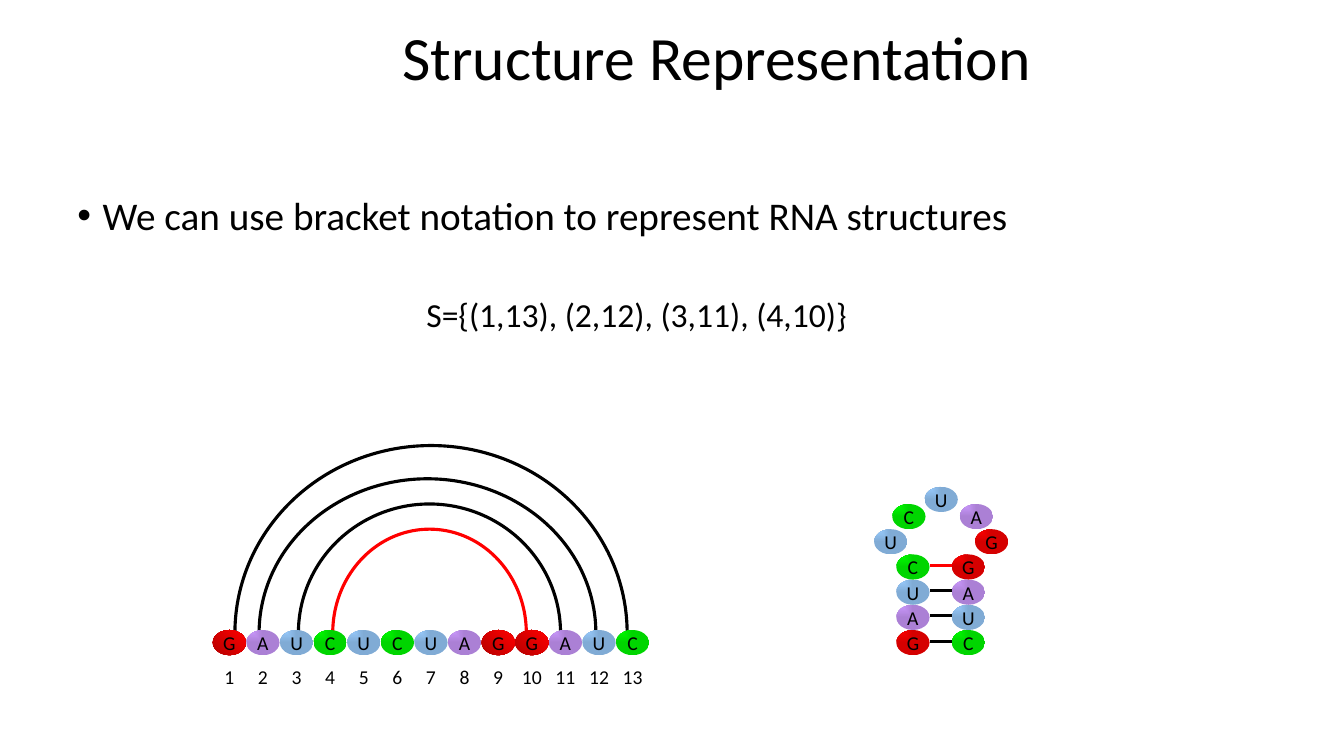
from lxml import etree
from pptx import Presentation
from pptx.dml.color import RGBColor
from pptx.enum import shapes, text
from pptx.oxml import parse_xml
from pptx.oxml.ns import nsdecls, qn
from pptx.util import Inches, Pt

TITLE = "Structure Representation"
POINT = "We can use bracket notation to represent RNA structures"
PAIRS = "S={(1,13), (2,12), (3,11), (4,10)}"
BASES = "GAUCUCUAGGAUC"
STEM = 4
LOOP = [(8.67, 5.25), (8.85, 5), (9.17, 4.83), (9.52, 5), (9.67, 5.25)]
ARCS = [(2.33, 6.22, 4.42), (2.57, 5.91, 4.75),
        (2.96, 5.56, 5), (3.3, 5.22, 5.25)]  # left, right, top

THEME = {
    "font": "Calibri", "ink": "000000", "mark": "FF0000", "line": 2.25,
    "title": 44, "body": 28, "pairs": 24, "base": 14,
    "A": ("CC99FF", "AB80D5"), "C": ("00FF00", "00D500"),
    "U": ("99CCFF", "80ABD5"), "G": ("FF0000", "D50000"),
    "strand G": ("B60000", "FF0000"),
}
CORNER = ('<a:path path="rect"><a:fillToRect r="100000" b="100000"/>'
          '</a:path>')
SLANT = '<a:lin ang="18900000" scaled="1"/>'

WIDE, HIGH = 0.33, 0.25
ROW, STEP, START = 6.25, 1 / 3, 2.11
LEFT, RIGHT = 8.89, 9.44

deck = Presentation()
deck.slide_width, deck.slide_height = Inches(13.33), Inches(7.5)
slide = deck.slides.add_slide(deck.slide_layouts[6])
parts = slide.shapes


def color(name):
    return RGBColor.from_string(THEME[name])


def write(shape, words, size, **form):
    frame = shape.text_frame
    para = frame.paragraphs[0]
    para.add_run().text = words
    for key, val in form.items():
        setattr(para, key, val)
    font = para.runs[0].font
    font.name, font.size = THEME["font"], Pt(THEME[size])
    font.color.rgb = color("ink")
    return frame


def label(box, words, size, **form):
    shape = parts.add_textbox(*map(Inches, box))
    frame = write(shape, words, size, **form)
    frame.word_wrap = True
    return frame


def stroke(line, name):
    line.color.rgb = color(name)
    line.width = Pt(THEME["line"])


def shade(shape, stops, way):
    """Put a two-colour gradient in the shape."""
    marks = "".join(f'<a:gs pos="{pos}"><a:srgbClr val="{tint}"/></a:gs>'
                    for pos, tint in zip((0, 100000), stops))
    grad = parse_xml(f'<a:gradFill {nsdecls("a")} rotWithShape="1">'
                     f'<a:gsLst>{marks}</a:gsLst>{way}</a:gradFill>')
    shape._element.spPr.find(qn("a:prstGeom")).addnext(grad)


def bead(left, top, words, stops=None, way=CORNER):
    """Draw a base, or a bare number when there are no colours."""
    shape = parts.add_shape(shapes.MSO_SHAPE.OVAL,
                            *map(Inches, (left, top, WIDE, HIGH)))
    shape.shadow.inherit = False
    shape.line.fill.background()
    if stops:
        shade(shape, stops, way)
    else:
        shape.fill.background()
    frame = write(shape, words, "base", alignment=text.PP_ALIGN.CENTER)
    form = dict.fromkeys(("margin_left", "margin_right",
                          "margin_top", "margin_bottom"), 0)
    form.update(word_wrap=False, vertical_anchor=text.MSO_ANCHOR.MIDDLE)
    for key, val in form.items():
        setattr(frame, key, val)


def arch(left, right, top, name):
    """Draw the upper half of an ellipse that stands on the strand."""
    box = (left, top, right - left, 2 * (6.28 - top))
    shape = parts.add_shape(shapes.MSO_SHAPE.ARC, *map(Inches, box))
    shape.adjustments[0], shape.adjustments[1] = 108, 0  # 180 to 0 degrees
    shape.shadow.inherit = False
    shape.fill.background()
    stroke(shape.line, name)


def bond(high, name):
    ends = (LEFT + WIDE, high, RIGHT, high)
    line = parts.add_connector(shapes.MSO_CONNECTOR.STRAIGHT,
                               *map(Inches, ends))
    stroke(line.line, name)
    etree.SubElement(line._element.spPr, qn("a:effectLst"))


head = label((1.36, -0.12, 11.5, 1.45), TITLE, "title",
             alignment=text.PP_ALIGN.CENTER, line_spacing=0.9)
head.vertical_anchor = text.MSO_ANCHOR.MIDDLE

body = label((0.67, 1.94, 12, 2.06), POINT, "body", line_spacing=0.8)
props = body.paragraphs[0]._p.get_or_add_pPr()
props.set("marL", str(Inches(0.25)))
props.set("indent", str(Inches(-0.25)))
etree.SubElement(props, qn("a:buFont")).set("typeface", "Arial")
etree.SubElement(props, qn("a:buChar")).set("char", "•")

inner = len(ARCS) - 1
for i, arc in enumerate(ARCS):
    arch(*arc, "mark" if i == inner else "ink")

for i, base in enumerate(BASES):
    left = START + i * STEP
    if base == "G":
        bead(left, ROW, base, THEME["strand G"], SLANT)
    else:
        bead(left, ROW, base, THEME[base])
    bead(left, ROW + STEP, str(i + 1))

up = [(LEFT, ROW - i * HIGH) for i in range(STEM)]
down = [(RIGHT, top) for _, top in reversed(up)]
for base, spot in zip(BASES, up + LOOP + down):
    bead(*spot, base, THEME[base])
for i in range(STEM):
    bond(ROW + 0.11 - i * HIGH, "mark" if i == inner else "ink")

label((4.13, 2.87, 5.22, 0.5), PAIRS, "pairs")

deck.save("out.pptx")
